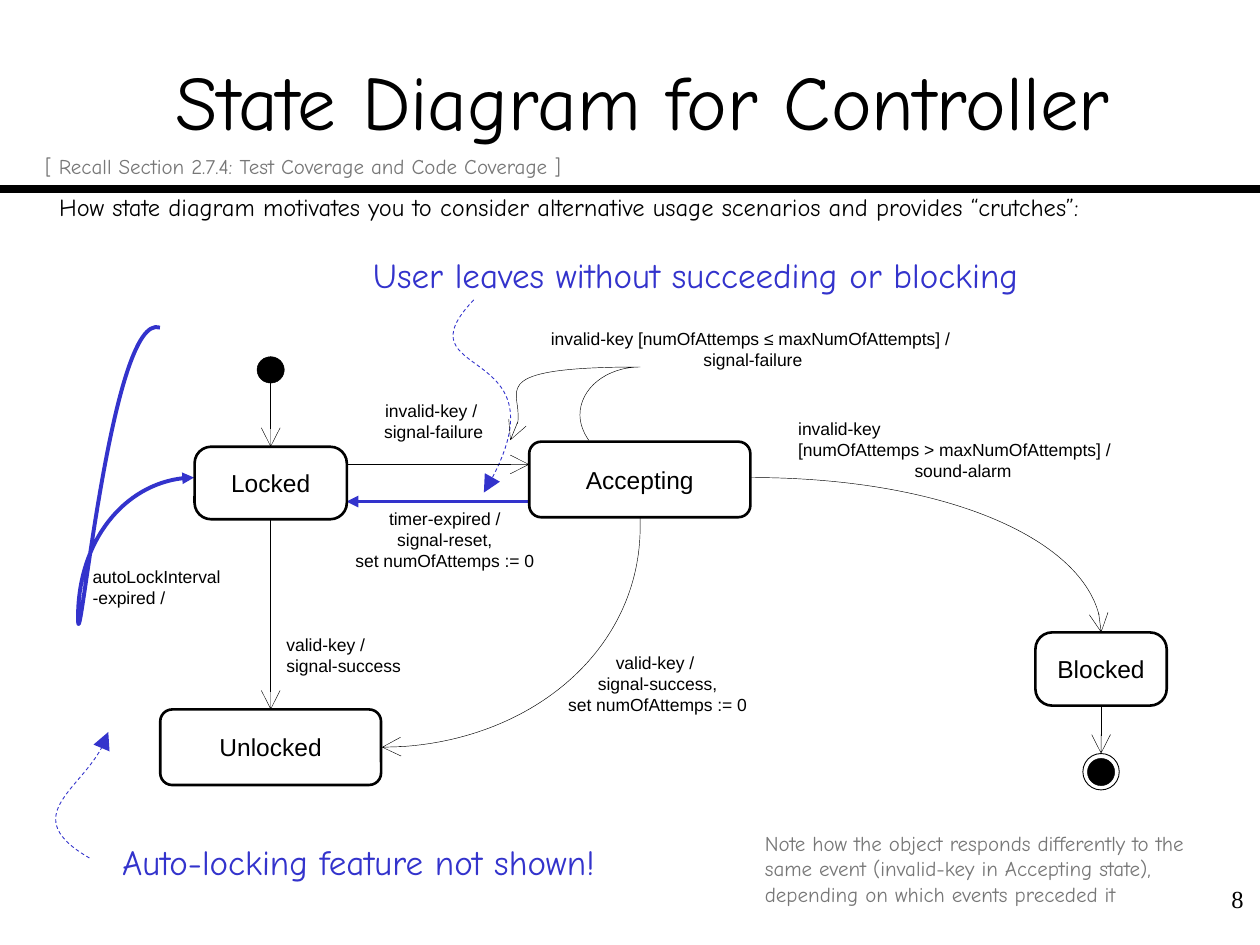
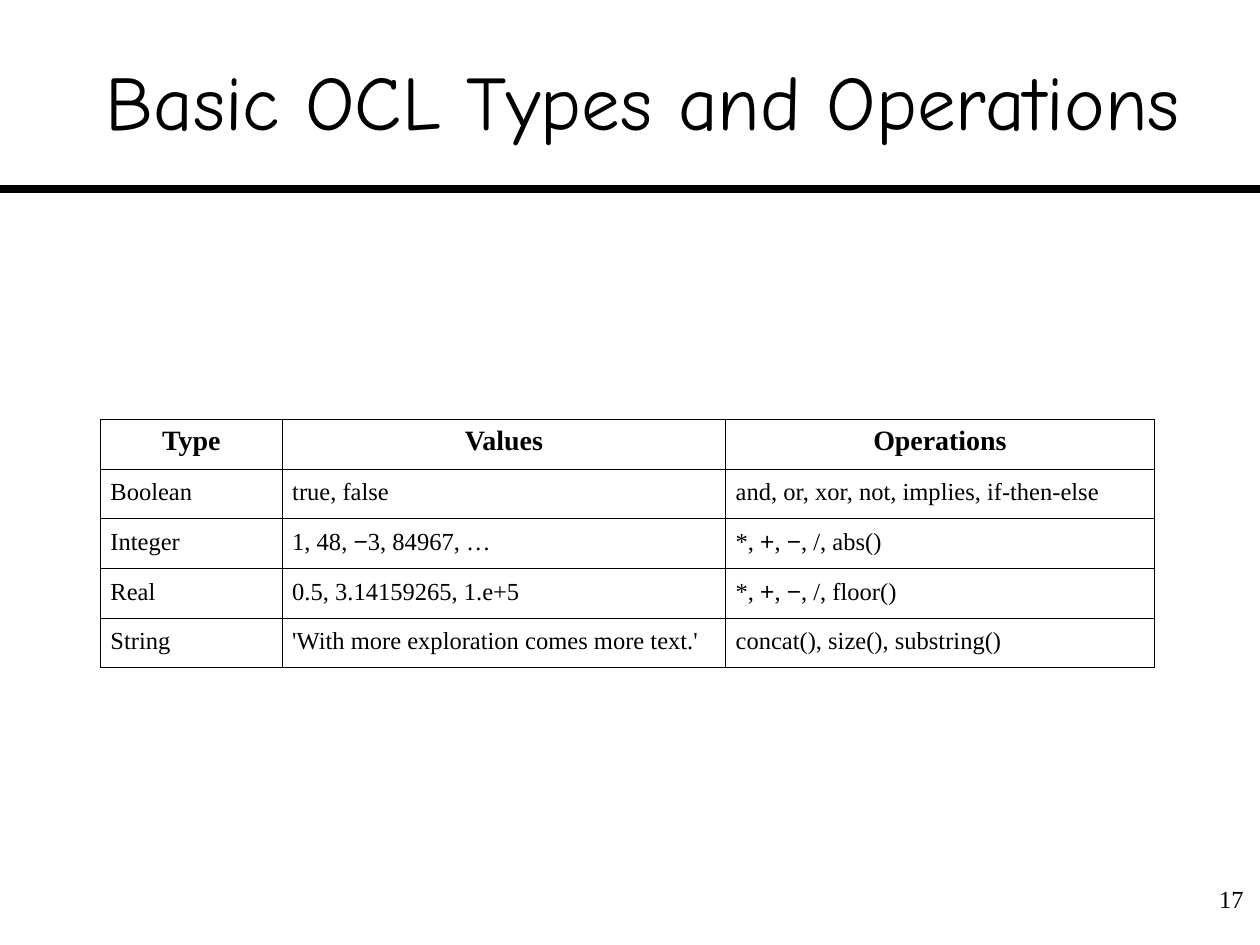
from dataclasses import dataclass

from lxml.etree import SubElement
from pptx import Presentation
from pptx.dml.color import RGBColor
from pptx.enum.dml import MSO_LINE_DASH_STYLE as Dash
from pptx.enum.shapes import MSO_CONNECTOR as Connector, MSO_SHAPE as Preset
from pptx.enum.text import MSO_ANCHOR as Anchor, PP_ALIGN as Align
from pptx.oxml.ns import qn
from pptx.util import Pt


@dataclass(frozen=True)
class Theme:
    """Colours, fonts, type sizes and line widths of the deck."""
    black: RGBColor = RGBColor(0, 0, 0)
    white: RGBColor = RGBColor(255, 255, 255)
    blue: RGBColor = RGBColor(0x33, 0x33, 0xCC)
    grey: RGBColor = RGBColor(0x77, 0x77, 0x77)
    hand: str = "Comic Neue"
    sans: str = "Arial"
    serif: str = "Times New Roman"
    title: float = 44
    callout: float = 20
    table_head: float = 16
    body: float = 14
    note: float = 12
    label: float = 10
    hairline: float = 0.25
    border: float = 0.45
    dashed: float = 0.5
    outline: float = 1.5
    bold_line: float = 2.25
    rule: float = 4.5


@dataclass(frozen=True)
class Box:
    """A region of the slide, in points."""
    left: float
    top: float
    width: float = 0
    height: float = 0

    def point(self, x, y):
        """Return a point given relative to this box as slide lengths."""
        return Pt(self.left + x), Pt(self.top + y)

    def area(self, x, y, width, height):
        """Return a rectangle given relative to this box as slide lengths."""
        return *self.point(x, y), Pt(width), Pt(height)


THEME = Theme()
PAGE = Box(0, 0, 720, 540)


def write(frame, text, size=THEME.label, font=THEME.sans, color=THEME.black, bold=False,
          align=Align.LEFT, anchor=Anchor.TOP, wrap=False, margins=(0.7, 0), spacing=None):
    """Fill a text frame; lines become paragraphs and |symbols| use the sans font."""
    frame.word_wrap = wrap
    frame.vertical_anchor = anchor
    frame.margin_left = frame.margin_right = Pt(margins[0])
    frame.margin_top = frame.margin_bottom = Pt(margins[1])
    for index, line in enumerate(text.split("\n")):
        paragraph = frame.add_paragraph() if index else frame.paragraphs[0]
        paragraph.alignment = align
        if spacing:
            paragraph.line_spacing = Pt(spacing)
        for position, piece in enumerate(line.split("|")):
            run = paragraph.add_run()
            run.text = piece
            run.font.size = Pt(size)
            run.font.name = THEME.sans if position % 2 else font
            run.font.color.rgb = color
            run.font.bold = bold


def add_text(slide, box, area, text, **style):
    """Add a text box at an area of the box."""
    shape = slide.shapes.add_textbox(*box.area(*area))
    write(shape.text_frame, text, **style)
    return shape


def stroke(shape, color, width, head=None, head_size="med", dash=None):
    """Set a line's colour, width, dash and arrowhead."""
    shape.line.color.rgb = color
    shape.line.width = Pt(width)
    if dash:
        shape.line.dash_style = dash
    if head:
        line = shape._element.spPr.find(qn("a:ln"))
        SubElement(line, qn("a:tailEnd"), type=head, w=head_size, len=head_size)


THIN = dict(color=THEME.black, width=THEME.hairline, head="arrow", head_size="lg")
BOLD = dict(color=THEME.blue, width=THEME.bold_line, head="triangle")
POINTER = dict(color=THEME.blue, width=THEME.dashed, head="triangle", head_size="lg",
               dash=Dash.DASH)


def add_line(slide, box, begin, end, source=None, target=None, **style):
    """Add a straight connector, joined to (shape, site) pairs when given."""
    line = slide.shapes.add_connector(Connector.STRAIGHT, *box.point(*begin), *box.point(*end))
    if source:
        line.begin_connect(*source)
    if target:
        line.end_connect(*target)
    stroke(line, **style)
    SubElement(line._element.spPr, qn("a:effectLst"))


def add_curve(slide, box, points, **style):
    """Add an open chain of cubic curves through its control points."""
    start, *controls = [box.point(*point) for point in points]
    builder = slide.shapes.build_freeform(*start, scale=1.0)
    builder.add_line_segments(controls, close=False)
    curve = builder.convert_to_shape()
    outline = next(curve._element.iter(qn("a:moveTo"))).getparent()
    segments = outline.findall(qn("a:lnTo"))
    for first in range(0, len(segments), 3):
        cubic = SubElement(outline, qn("a:cubicBezTo"))
        for segment in segments[first:first + 3]:
            cubic.append(segment[0])
            outline.remove(segment)
    curve.shadow.inherit = False
    curve.fill.background()
    stroke(curve, **style)


def add_shape(slide, box, preset, area, fill, width):
    """Add a filled preset shape with a black outline."""
    shape = slide.shapes.add_shape(preset, *box.area(*area))
    shape.shadow.inherit = False
    shape.fill.solid()
    shape.fill.fore_color.rgb = fill
    stroke(shape, THEME.black, width)
    return shape


def add_state(slide, box, name, area, rounding):
    """Add a named rounded state."""
    state = add_shape(slide, box, Preset.ROUNDED_RECTANGLE, area, THEME.white, THEME.outline)
    state.adjustments[0] = rounding
    write(state.text_frame, name, size=THEME.body, align=Align.CENTER, anchor=Anchor.MIDDLE)
    return state


def add_frame(slide, box, title, number):
    """Add the title, the rule under it and the page number."""
    add_line(slide, box, (0, 108), (box.width, 108), color=THEME.black, width=THEME.rule)
    add_text(slide, box, (29.8, 12.2, 675.4, 90), title, size=THEME.title, font=THEME.hand,
             align=Align.CENTER, anchor=Anchor.MIDDLE, wrap=True, margins=(0, 3.6))
    add_text(slide, box, (673.2, 501.8, 44.6, 36), number, size=THEME.body, font=THEME.serif,
             align=Align.RIGHT, wrap=True, margins=(7.2, 3.6))


def add_state_machine(slide, box):
    """Add the states, their transitions and the transition labels."""
    locked = add_state(slide, box, "Locked", (21.2, 75.3, 87, 41.4), 0.227)
    add_state(slide, box, "Accepting", (212.4, 72.4, 126.4, 43.2), 0.159)
    unlocked = add_state(slide, box, "Unlocked", (1.6, 225.4, 126.2, 43.2), 0.159)
    blocked = add_state(slide, box, "Blocked", (501.7, 181.4, 75, 41.8), 0.227)
    add_shape(slide, box, Preset.OVAL, (56.9, 23.8, 15.6, 15.1), THEME.black, THEME.hairline)
    final = add_shape(slide, box, Preset.OVAL, (528.8, 250.6, 20.8, 20.8),
                      THEME.white, THEME.dashed)
    add_shape(slide, box, Preset.OVAL, (531.4, 253.4, 15.6, 15.6), THEME.black, THEME.hairline)

    add_line(slide, box, (64.7, 38.9), (64.7, 75.3), target=(locked, 0), **THIN)
    add_line(slide, box, (64.7, 116.7), (64.7, 225.4), (locked, 2), (unlocked, 0), **THIN)
    add_line(slide, box, (539.2, 223.2), (539.2, 250.6), (blocked, 2), (final, 0), **THIN)
    add_line(slide, box, (108.2, 85.4), (212.4, 85.4), **THIN)
    for points in (
        [(275.8, 115.6), (275.8, 117.5), (275.8, 119), (275.8, 121),
         (275.8, 190.8), (209.5, 247), (128.2, 247)],
        [(338.6, 92.9), (449.3, 92.9), (539.3, 132.5), (539.3, 181.4)],
        [(246.4, 71.5), (243.4, 67.2), (241.4, 62.1), (241.4, 57.1),
         (241.4, 42), (256.5, 29.7), (275.8, 29.7),
         (190.8, 29.7), (206.1, 42), (206.1, 57.1),
         (206.1, 62.1), (204.5, 67.2), (201.6, 71.5)],
    ):
        add_curve(slide, box, points, **THIN)

    for text, area, align in (
        ("invalid-key [numOfAttemps ≤ maxNumOfAttempts] / \nsignal-failure",
         (222.7, 7.2, 235, 23.8), Align.CENTER),
        ("invalid-key / \nsignal-failure", (126.7, 48.7, 62, 23.8), Align.CENTER),
        ("valid-key /\nsignal-success", (73, 182.2, 67, 23.8), Align.LEFT),
        ("valid-key / \nsignal-success,\nset numOfAttemps := 0",
         (232.7, 192.7, 106, 36), Align.CENTER),
    ):
        add_text(slide, box, area, text, align=align)
    alarm = add_text(slide, box, (365.4, 59, 182.9, 36),
                     "invalid-key\n[numOfAttemps > maxNumOfAttempts] /\nsound-alarm")
    alarm.text_frame.paragraphs[-1]._p.get_or_add_pPr().set("marL", str(Pt(66.5)))


def add_timeout_callout(slide, box):
    """Add the timer transition and the callout that explains it."""
    add_line(slide, box, (104.4, 142.6), (0, 142.6), **BOLD)
    add_text(slide, box, (4.3, 146.2, 103.7, 36),
             "timer-expired /\nsignal-reset,\nset numOfAttemps := 0", align=Align.CENTER)
    add_text(slide, box, (14.4, 0.7, 370.8, 23.8), "User leaves without succeeding or blocking",
             size=THEME.callout, font=THEME.hand, color=THEME.blue)
    add_curve(slide, box, [(72.7, 27.4), (28.8, 73.4), (131, 49.7), (78.5, 137.5)], **POINTER)


def add_autolock_callout(slide, box):
    """Add the auto-lock transition and the callout that explains it."""
    add_text(slide, box, (42.2, 136.3, 74.9, 23.8), "autoLockInterval\n-expired /")
    add_curve(slide, box, [(81.4, 0.2), (53.4, -9.9), (34.6, 200.4), (34.6, 165.8),
                           (34.6, 121.9), (64.2, 85.9), (100.9, 85.9)], **BOLD)
    add_text(slide, box, (59.1, 293.2, 273.6, 23.8), "Auto-locking feature not shown!",
             size=THEME.callout, font=THEME.hand, color=THEME.blue)
    add_curve(slide, box, [(41.1, 303.3), (0.1, 279.6), (42.6, 261.6), (51.9, 231.3)], **POINTER)


def add_remarks(slide, box):
    """Add the lead sentence and the grey remarks."""
    remark = dict(size=THEME.note, font=THEME.hand, color=THEME.grey, margins=(7.2, 3.6))
    add_text(slide, box, (18.7, 84.2, 311.8, 21.6),
             "[ Recall Section 2.7.4: Test Coverage and Code Coverage ]", **remark)
    add_text(slide, box, (33.8, 109.8, 587.5, 16.6),
             "How state diagram motivates you to consider alternative usage scenarios "
             "and provides “crutches”:", size=THEME.body, font=THEME.hand, margins=(0, 0))
    add_text(slide, box, (430, 471.2, 281.5, 50.4),
             "Note how the object responds differently to the same event (invalid-key in "
             "Accepting state), depending on which events preceded it", wrap=True, **remark)


def set_borders(cell):
    """Draw a thin black border on every side of a cell."""
    properties = cell._tc.get_or_add_tcPr()
    for side in "LRTB":
        line = SubElement(properties, qn(f"a:ln{side}"), w=str(Pt(THEME.border)))
        fill = SubElement(line, qn("a:solidFill"))
        SubElement(fill, qn("a:srgbClr"), val=str(THEME.black))


def add_type_table(slide, box):
    """Add the table of types, values and operations."""
    rows = (
        ("Type", "Values", "Operations"),
        ("Boolean", "true, false", "and, or, xor, not, implies, if-then-else"),
        ("Integer", "1, 48, |−|3, 84967, …", "*, |+|, |−|, /, abs()"),
        ("Real", "0.5, 3.14159265, 1.e+5", "*, |+|, |−|, /, floor()"),
        ("String", "'With more exploration comes more text.'", "concat(), size(), substring()"),
    )
    area = box.area(0, 0, box.width, box.height)
    table = slide.shapes.add_table(len(rows), len(rows[0]), *area).table
    table.first_row = table.horz_banding = False
    for column, width in zip(table.columns, (103.9, 253.4, 244.9)):
        column.width = Pt(width)
    for row_index, row in enumerate(rows):
        header = row_index == 0
        table.rows[row_index].height = Pt(box.height / len(rows))
        for column_index, text in enumerate(row):
            cell = table.cell(row_index, column_index)
            set_borders(cell)
            cell.fill.background()
            write(cell.text_frame, text, size=THEME.table_head if header else THEME.body,
                  font=THEME.serif, bold=header, spacing=14, wrap=True,
                  align=Align.CENTER if header else Align.JUSTIFY)
            cell.vertical_anchor = Anchor.MIDDLE
            cell.margin_left = cell.margin_right = Pt(5.7)
            cell.margin_top = cell.margin_bottom = Pt(3.6)


def main():
    """Build both slides and save the deck."""
    presentation = Presentation()
    presentation.slide_width, presentation.slide_height = Pt(PAGE.width), Pt(PAGE.height)
    blank = presentation.slide_layouts[6]

    slide = presentation.slides.add_slide(blank)
    add_frame(slide, PAGE, "State Diagram for Controller", "8")
    add_timeout_callout(slide, Box(198, 144))
    add_autolock_callout(slide, Box(10, 187))
    add_state_machine(slide, Box(90, 180))
    add_remarks(slide, PAGE)

    slide = presentation.slides.add_slide(blank)
    add_frame(slide, PAGE, "Basic OCL Types and Operations", "17")
    add_type_table(slide, Box(57.4, 239.6, 602.2, 142))
    presentation.save("out.pptx")


if __name__ == "__main__":
    main()
